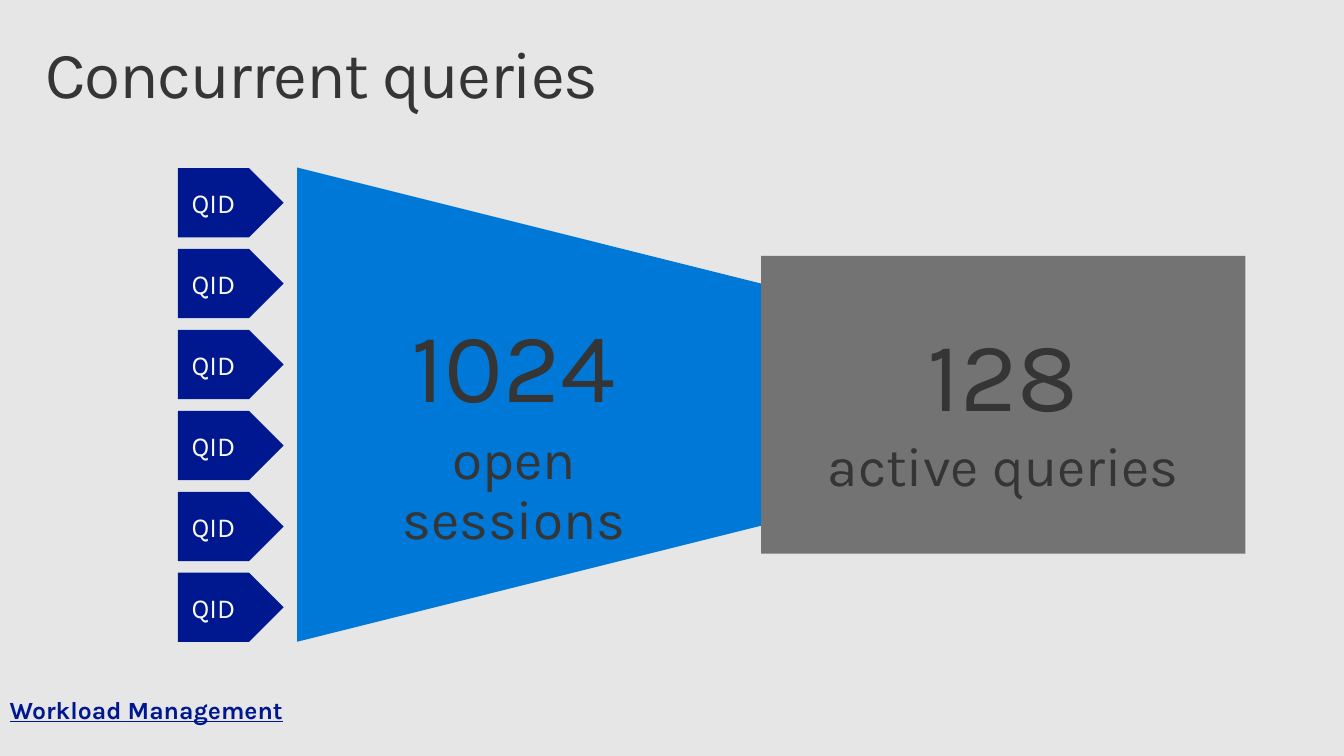
"""Build the slide on concurrent queries: a funnel from open sessions to active queries."""
from dataclasses import dataclass

from pptx import Presentation
from pptx import util as u
from pptx.dml.color import RGBColor
from pptx.enum import shapes, text


@dataclass(frozen=True)
class Theme:
    font: str = "Karla"
    background: str = "E6E6E6"
    ink: str = "353535"
    navy: str = "00188F"
    blue: str = "0078D7"
    grey: str = "737373"
    white: str = "F8F8F8"
    title: int = 48
    number: int = 72
    caption: int = 40
    label: int = 20
    link: int = 18


def add_block(s, kind, box, fill):
    sp = s.shapes.add_shape(kind, *map(u.Cm, box))
    sp.shadow.inherit = False
    sp.fill.solid()
    sp.fill.fore_color.rgb = RGBColor.from_string(fill)
    sp.line.fill.background()
    return sp


def write(sp, lines, color, margins, align=text.PP_ALIGN.CENTER,
          anchor=text.MSO_ANCHOR.MIDDLE):
    tf = sp.text_frame
    tf.word_wrap = True
    tf.vertical_anchor = anchor
    tf.margin_left = tf.margin_right = u.Cm(margins[0])
    tf.margin_top = tf.margin_bottom = u.Cm(margins[1])
    tf.text = "\n".join(words for words, size in lines)
    for p, (words, size) in zip(tf.paragraphs, lines):
        p.alignment = align
        r = p.runs[0]
        r.font.name = theme.font
        r.font.size = u.Pt(size)
        r.font.color.rgb = RGBColor.from_string(color)
    return tf


theme = Theme()
prs = Presentation()
prs.slide_width, prs.slide_height = u.Cm(34.54), u.Cm(19.43)
s = prs.slides.add_slide(prs.slide_layouts[6])
s.background.fill.solid()
s.background.fill.fore_color.rgb = RGBColor.from_string(theme.background)

left, top = text.PP_ALIGN.LEFT, text.MSO_ANCHOR.TOP

title = s.shapes.add_textbox(u.Cm(0.76), u.Cm(0.81), u.Cm(33.02), u.Cm(2.54))
tf = write(title, [("Concurrent queries", theme.title)], theme.ink,
           (0.41, 0.25), left, top)
tf.paragraphs[0].line_spacing = 0.9
tf.paragraphs[0].runs[0].font._element.set("spc", "-100")

query_top, query_pitch = 4.32, 2.08
for i in range(6):
    query = add_block(s, shapes.MSO_SHAPE.RIGHT_ARROW,
                      (4.57, query_top + i * query_pitch, 2.72, 1.78), theme.navy)
    query.adjustments[0], query.adjustments[1] = 1, 0.5
    write(query, [("QID", theme.label)], theme.white, (0, 0.13))

funnel = add_block(s, shapes.MSO_SHAPE.FLOWCHART_EXTRACT,
                   (13.72, -1.78, 12.19, 24.36), theme.blue)
funnel.rotation = 90

active = add_block(s, shapes.MSO_SHAPE.RECTANGLE, (19.56, 6.58, 12.45, 7.65), theme.grey)
write(active, [("128", theme.number), ("active queries", theme.caption)],
      theme.ink, (0, 0.13))

sessions = s.shapes.add_textbox(u.Cm(8.48), u.Cm(7.75), u.Cm(9.45), u.Cm(5.44))
tf = write(sessions, [("1024", theme.number), ("open sessions", theme.caption)],
           theme.ink, (0.51, 0.41), anchor=top)
for p in tf.paragraphs:
    p.line_spacing = 0.9
    p.space_after = u.Pt(6)

link = s.shapes.add_textbox(u.Cm(0), u.Cm(17.73), u.Cm(32.51), u.Cm(1.02))
tf = write(link, [("Workload Management", theme.link)], theme.navy,
           (0.25, 0.13), left, top)
r = tf.paragraphs[0].runs[0]
r.font.bold = r.font.underline = True

prs.save("out.pptx")
